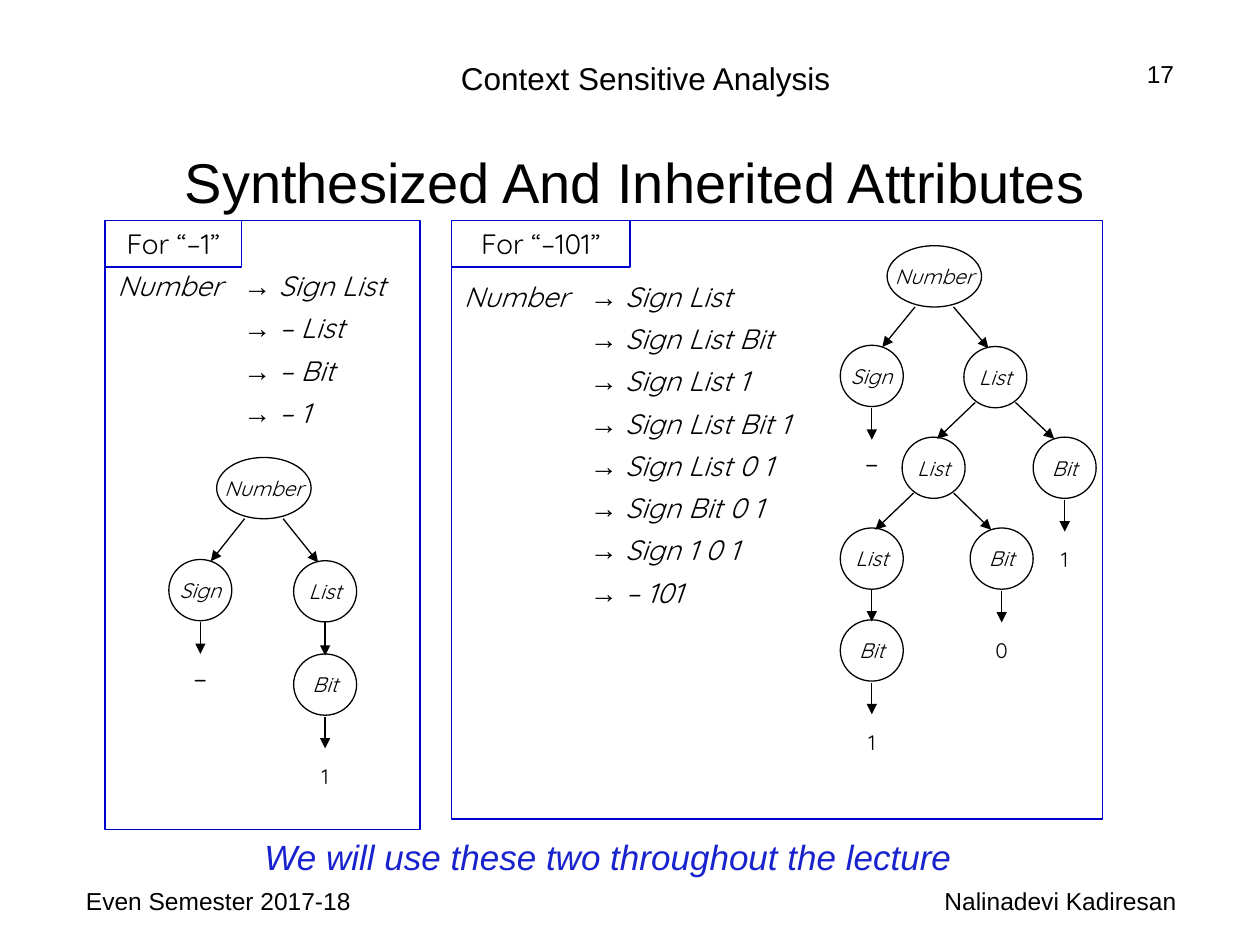
from collections import namedtuple

from lxml.etree import SubElement
from pptx import Presentation
from pptx.dml.color import RGBColor
from pptx.enum.shapes import MSO_CONNECTOR, MSO_SHAPE
from pptx.enum.text import MSO_ANCHOR, PP_ALIGN
from pptx.oxml.ns import qn
from pptx.util import Pt

COLORS = {"ink": "000000", "frame": "0000CC", "remark": "1822CD"}
BODY, TREE = "Arial", "Quicksand"
NODE_H = 35
NODE_W = {"Number": 54}
Join = namedtuple("Join", "start rise left_end right_end")
JOINS = {"Number": Join(11, 0, 6, -4), "List": Join(11.5, 3, 2, -6)}

SMALL_DERIVATION = ["Sign List", "– List", "– Bit", "– 1"]
LARGE_DERIVATION = [
    "Sign List", "Sign List Bit", "Sign List 1", "Sign List Bit 1",
    "Sign List 0 1", "Sign Bit 0 1", "Sign 1 0 1", "– 101",
]
SMALL_TREE = ("Number", 150.8, 261.4, [
    ("Sign", 114.5, 319.7, "–"),
    ("List", 185.8, 320.4, [("Bit", 185.8, 373.7, "1")]),
])
LARGE_TREE = ("Number", 533.9, 140.4, [
    ("Sign", 498.2, 197.3, "–"),
    ("List", 568.8, 198, [
        ("List", 533.5, 249.8, [
            ("List", 498.2, 301.7, [("Bit", 498.2, 354.2, "1")]),
            ("Bit", 572.4, 301.7, "0"),
        ]),
        ("Bit", 608.4, 249.8, "1"),
    ]),
])


def rgb(name):
    return RGBColor.from_string(COLORS[name])


def add_run(p, text, size=16, font=BODY, color="ink", italic=False):
    r = p.add_run()
    r.text = text
    r.font.size = Pt(size)
    r.font.name = font
    r.font.italic = italic
    r.font.color.rgb = rgb(color)


def write(s, text, align=PP_ALIGN.LEFT, anchor=MSO_ANCHOR.TOP, wrap=True, **style):
    tf = s.text_frame
    tf.word_wrap = wrap
    tf.vertical_anchor = anchor
    p = tf.paragraphs[0]
    p.alignment = align
    add_run(p, text, **style)


def add_text(slide, box, text, **style):
    write(slide.shapes.add_textbox(*map(Pt, box)), text, **style)


def add_outline(slide, kind, box, color, width):
    s = slide.shapes.add_shape(kind, *map(Pt, box))
    s.shadow.inherit = False
    s.fill.background()
    s.line.color.rgb = rgb(color)
    s.line.width = Pt(width)
    return s


def add_arrow(slide, x1, y1, x2, y2):
    s = slide.shapes.add_connector(MSO_CONNECTOR.STRAIGHT, *map(Pt, (x1, y1, x2, y2)))
    s.line.color.rgb = rgb("ink")
    s.line.width = Pt(0.75)
    SubElement(s.line._get_or_add_ln(), qn("a:tailEnd"), type="triangle")
    SubElement(s._element.spPr, qn("a:effectLst"))


def add_terminal(slide, text, x, y):
    add_arrow(slide, x, y + 1, x, y + 19)
    if text == "–":
        add_text(slide, (x - 18, y + 19, 36, 26.5), text, font=TREE, align=PP_ALIGN.CENTER)
    else:
        add_text(slide, (x - 15, y + 24, 30, 21.5), text, size=12, font=TREE,
                 align=PP_ALIGN.CENTER)


def add_tree(slide, node):
    name, x, top, children = node
    w = NODE_W.get(name, 36)
    s = add_outline(slide, MSO_SHAPE.OVAL, (x - w / 2, top, w, NODE_H), "ink", 0.75)
    write(s, name, size=12, font=TREE, italic=True, align=PP_ALIGN.CENTER,
          anchor=MSO_ANCHOR.MIDDLE, wrap=False)
    bottom = top + NODE_H
    if isinstance(children, str):
        add_terminal(slide, children, x, bottom)
        return
    join = JOINS[name]
    for child in children:
        _, cx, cy, _ = child
        if cx == x:
            add_arrow(slide, x, bottom, cx, cy + 1)
        elif cx < x:
            add_arrow(slide, x - join.start, bottom - join.rise, cx + join.left_end, cy + 1)
        else:
            add_arrow(slide, x + join.start, bottom - join.rise, cx + join.right_end, cy + 1)
        add_tree(slide, child)


def add_derivation(slide, box, steps):
    tf = slide.shapes.add_textbox(*map(Pt, box)).text_frame
    tf.word_wrap = True
    for i, step in enumerate(steps):
        p = tf.add_paragraph() if i else tf.paragraphs[0]
        tabs = SubElement(p._p.get_or_add_pPr(), qn("a:tabLst"))
        SubElement(tabs, qn("a:tab"), pos=str(Pt(72)), algn="l")
        if i:
            p.space_before = Pt(5)
        add_run(p, "\t" if i else "Number \t", font=TREE, italic=True)
        add_run(p, "→", italic=True)
        add_run(p, f" {step}", font=TREE, italic=True)


def add_panel(slide, box, label, label_w):
    left, top, _, _ = box
    add_outline(slide, MSO_SHAPE.RECTANGLE, box, "frame", 1)
    s = add_outline(slide, MSO_SHAPE.RECTANGLE, (left, top, label_w, 26.5), "frame", 1)
    write(s, label, font=TREE, align=PP_ALIGN.CENTER)


def main():
    prs = Presentation()
    prs.slide_width, prs.slide_height = Pt(720), Pt(540)
    slide = prs.slides.add_slide(prs.slide_layouts[6])

    add_text(slide, (102, 30, 534, 29), "Context Sensitive Analysis", size=18,
             align=PP_ALIGN.CENTER)
    add_text(slide, (78, 72, 570, 63), "Synthesized And Inherited Attributes", size=32,
             align=PP_ALIGN.CENTER, anchor=MSO_ANCHOR.MIDDLE)
    add_text(slide, (144, 474, 414, 31.5), "We will use these two throughout the lecture",
             size=20, color="remark", italic=True)

    add_derivation(slide, (60, 150, 180, 100), SMALL_DERIVATION)
    add_tree(slide, SMALL_TREE)
    add_panel(slide, (60, 126, 180, 348), "For “–1”", 78)

    add_derivation(slide, (258, 156, 216, 197), LARGE_DERIVATION)
    add_tree(slide, LARGE_TREE)
    add_panel(slide, (258, 126, 372, 342), "For “–101”", 102)

    add_text(slide, (42, 502.5, 168, 37.5), "Even Semester 2017-18", size=14)
    add_text(slide, (552, 30, 126, 37.5), "17", size=14, align=PP_ALIGN.RIGHT)
    add_text(slide, (492, 502.5, 228, 37.5), "Nalinadevi Kadiresan", size=14,
             align=PP_ALIGN.CENTER)
    prs.save("out.pptx")


if __name__ == "__main__":
    main()
